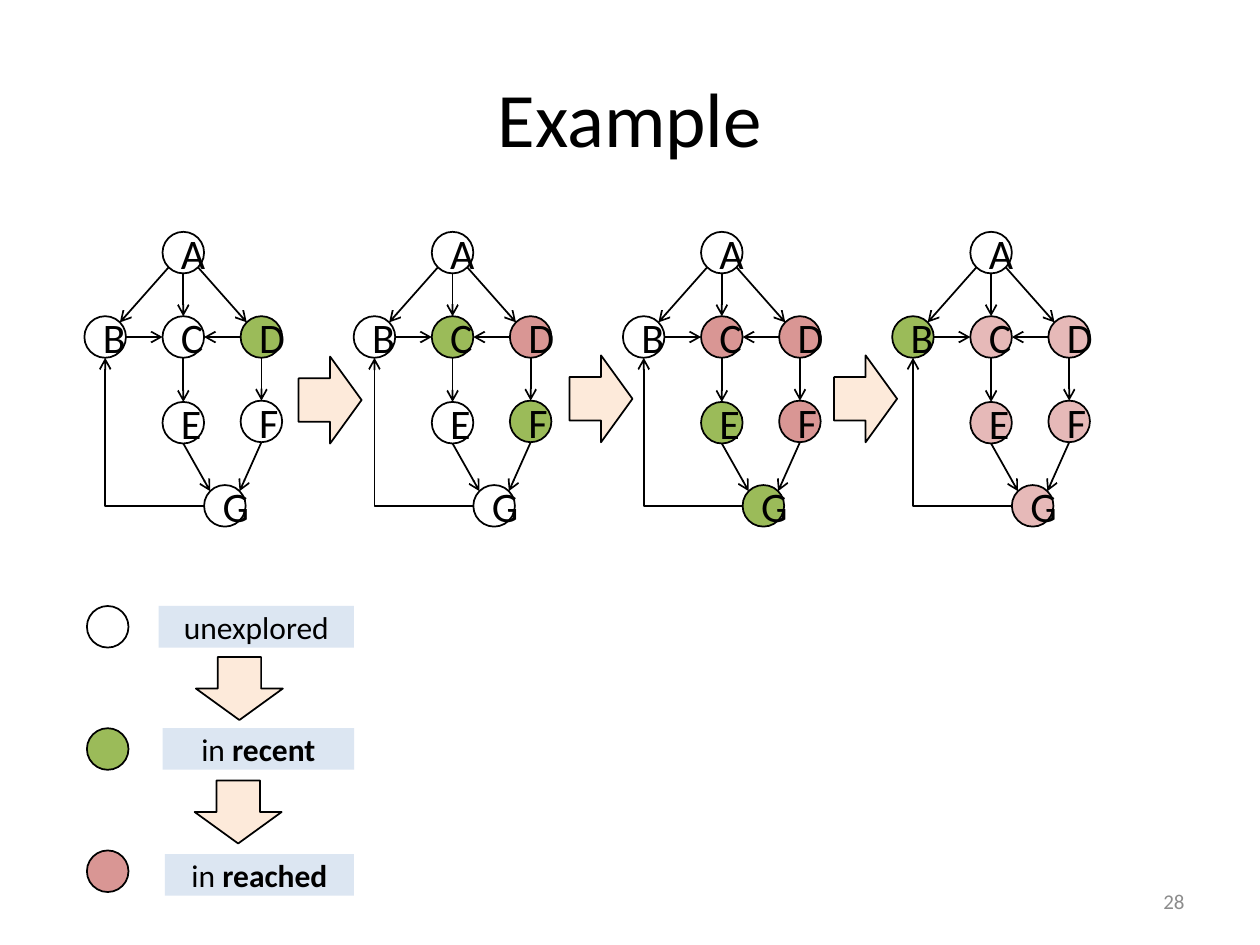
from math import cos, radians, sin

from lxml import etree
from pptx import Presentation
from pptx.dml.color import RGBColor
from pptx.enum import shapes, text
from pptx.oxml.ns import qn
from pptx.util import Inches, Pt

FONT = "Calibri"
BLACK, WHITE, GRAY = "000000", "FFFFFF", "8C8C8C"
GREEN, RED, PINK = "9BBB59", "D99694", "E6B9B8"
PEACH, PALE_BLUE = "FDEADA", "DCE6F2"

NODE = 0.33  # node diameter
# Node positions relative to the graph's box, in drawing order
NODES = {"A": (0.62, 0), "G": (0.95, 2.01), "F": (1.24, 1.34), "E": (0.62, 1.35),
         "D": (1.24, 0.67), "C": (0.62, 0.67), "B": (0, 0.67)}
# Rim points as angles, clockwise from the right
RIGHT, BOTTOM_RIGHT, BOTTOM, BOTTOM_LEFT = 0, 45, 90, 135
LEFT, TOP_LEFT, TOP, TOP_RIGHT = 180, 225, 270, 315
EDGES = [("A", BOTTOM_LEFT, "B", TOP_RIGHT), ("A", BOTTOM_RIGHT, "D", TOP_LEFT),
         ("A", BOTTOM, "C", TOP), ("B", RIGHT, "C", LEFT), ("D", LEFT, "C", RIGHT),
         ("C", BOTTOM, "E", TOP), ("D", BOTTOM, "F", TOP),
         ("E", BOTTOM, "G", TOP_LEFT), ("F", BOTTOM, "G", TOP_RIGHT)]
STEPS = [{"D": GREEN},
         {"C": GREEN, "D": RED, "F": GREEN},
         {"C": RED, "D": RED, "E": GREEN, "F": RED, "G": GREEN},
         {"B": GREEN, **dict.fromkeys("CDEFG", PINK)}]


def color(hex_string):
    return RGBColor.from_string(hex_string)


def write(frame, runs, size, align=text.PP_ALIGN.CENTER, ink=BLACK):
    """Fill a frame with one paragraph of (wording, bold) runs."""
    frame.word_wrap = True
    frame.vertical_anchor = text.MSO_ANCHOR.MIDDLE
    paragraph = frame.paragraphs[0]
    paragraph.alignment = align
    for wording, bold in runs:
        run = paragraph.add_run()
        run.text = wording
        run.font.name, run.font.size = FONT, Pt(size)
        run.font.bold = bold
        run.font.color.rgb = color(ink)


def add_figure(parent, preset, box, fill, outlined=True):
    figure = parent.add_shape(preset, *map(Inches, box))
    figure.shadow.inherit = False
    figure.fill.solid()
    figure.fill.fore_color.rgb = color(fill)
    if outlined:
        figure.line.color.rgb = color(BLACK)
        figure.line.width = Pt(1)
    else:
        figure.line.fill.background()
    return figure


def add_circle(parent, left, top, fill):
    return add_figure(parent, shapes.MSO_SHAPE.OVAL, (left, top, NODE, NODE), fill)


def add_block_arrow(parent, left, top, rotation=0):
    arrow = add_figure(parent, shapes.MSO_SHAPE.RIGHT_ARROW, (left, top, 0.5, 0.69), PEACH)
    arrow.rotation = rotation


def add_edge(parent, start, end, kind=shapes.MSO_CONNECTOR.STRAIGHT):
    edge = parent.add_connector(kind, *map(Inches, (*start, *end)))
    edge.line.color.rgb = color(BLACK)
    edge.line.width = Pt(1)
    etree.SubElement(edge.line._get_or_add_ln(), qn("a:tailEnd"), type="arrow")
    etree.SubElement(edge._element.spPr, qn("a:effectLst"))
    return edge


def add_graph(slide, left, top, fills):
    graph = slide.shapes.add_group_shape().shapes

    def rim(name, angle):
        x, y = NODES[name]
        radius = NODE / 2
        return (left + x + radius + radius * cos(radians(angle)),
                top + y + radius + radius * sin(radians(angle)))

    for name, (x, y) in NODES.items():
        node = add_circle(graph, left + x, top + y, fills.get(name, WHITE))
        write(node.text_frame, [(name, None)], 24)
    for source, leaving, target, entering in EDGES:
        add_edge(graph, rim(source, leaving), rim(target, entering))

    # Back edge from G to B: one bend, turned half round to run left and then up
    back = add_edge(graph, rim("B", BOTTOM), rim("G", LEFT), shapes.MSO_CONNECTOR.ELBOW)
    properties = back._element.spPr
    properties.find(qn("a:prstGeom")).set("prst", "bentConnector2")
    properties.find(qn("a:xfrm")).set("rot", str(180 * 60000))


def add_legend(slide, left, top):
    right = left + 2.12
    entries = [(0, 0, 1.55, WHITE, [("unexplored", None)]),
               (0.97, 0.97, 1.52, GREEN, [("in ", None), ("recent", True)]),
               (1.94, 1.97, 1.5, RED, [("in ", None), ("reached", True)])]
    for circle_y, label_y, width, fill, runs in entries:
        entry = slide.shapes.add_group_shape().shapes
        add_circle(entry, left, top + circle_y, fill)
        label = add_figure(entry, shapes.MSO_SHAPE.RECTANGLE,
                           (right - width, top + label_y, width, NODE), PALE_BLUE, False)
        write(label.text_frame, runs, 18)
    for x, y in [(0.96, 0.31), (0.95, 1.29)]:
        add_block_arrow(slide.shapes, left + x, top + y, 90)


def add_heading(slide, box):
    title = slide.shapes.title
    title.left, title.top, title.width, title.height = map(Inches, box)
    write(title.text_frame, [("Example", None)], 44)


def add_page_number(slide, box):
    number = slide.shapes.add_textbox(*map(Inches, box))
    write(number.text_frame, [("28", None)], 12, text.PP_ALIGN.RIGHT, GRAY)


def main():
    deck = Presentation()
    deck.slide_width, deck.slide_height = Inches(10), Inches(7.5)
    slide = deck.slides.add_slide(deck.slide_layouts[5])

    add_heading(slide, (0.5, 0.3, 9, 1.25))
    add_page_number(slide, (7.17, 6.95, 2.33, 0.4))

    # Four steps of the search, with arrows between them
    for step, fills in enumerate(STEPS):
        add_graph(slide, 0.67 + 2.137 * step, 1.84, fills)
    for left, top in [(2.37, 2.83), (4.52, 2.82), (6.62, 2.82)]:
        add_block_arrow(slide.shapes, left, top)

    add_legend(slide, 0.69, 4.81)
    deck.save("out.pptx")


if __name__ == "__main__":
    main()
